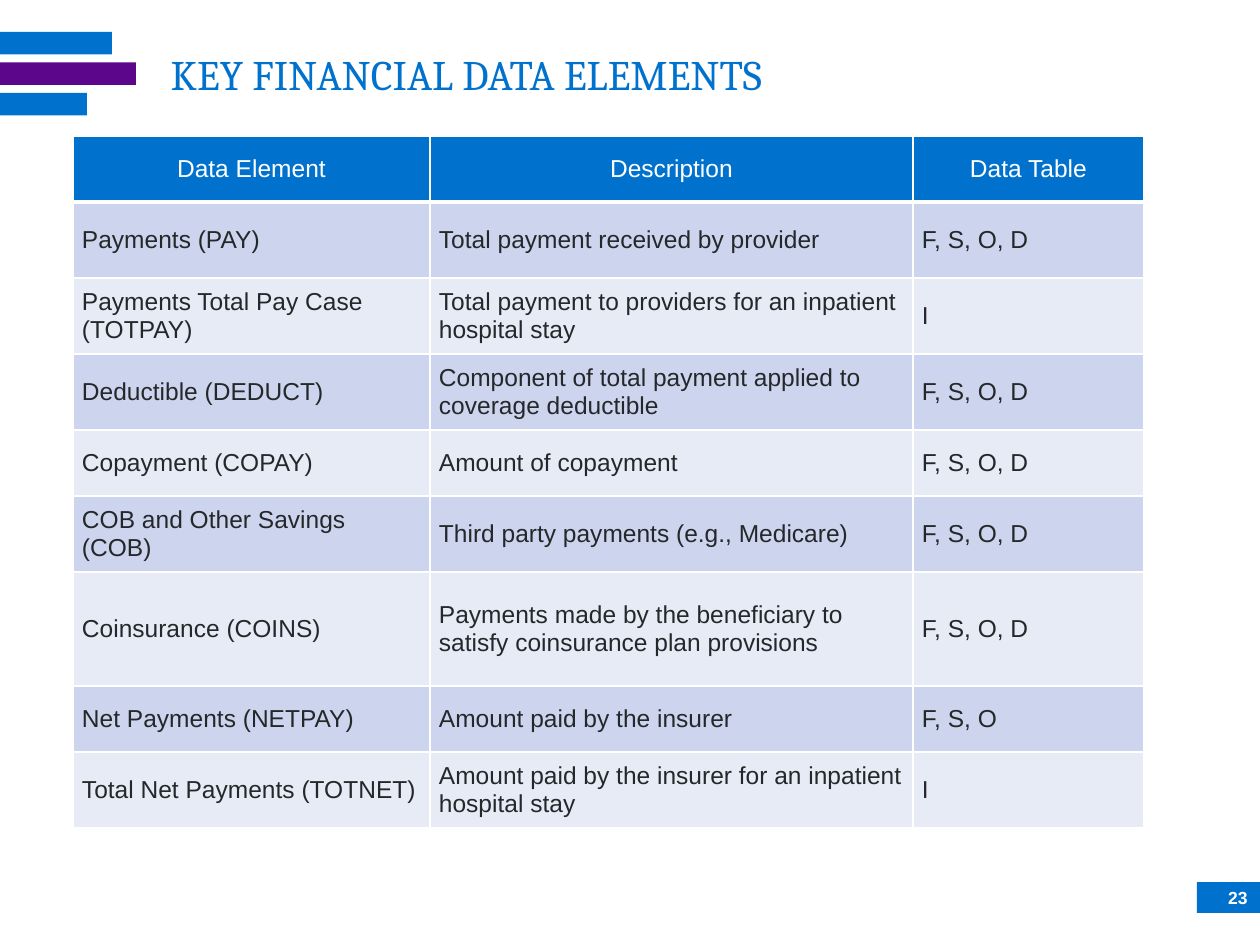
from lxml import etree
from pptx import Presentation
from pptx import util as u
from pptx.dml.color import RGBColor
from pptx.enum import shapes, text
from pptx.oxml.ns import qn

PX_PER_INCH = 126
BLUE, PURPLE, WHITE, INK = "0072CE", "5C068C", "FFFFFF", "25282A"
BANDS = ("CCD5ED", "E7EBF6")

HEADINGS = ("Data Element", "Description", "Data Table")
ELEMENTS = [
    ("Payments (PAY)", "Total payment received by provider", "F, S, O, D"),
    ("Payments Total Pay Case (TOTPAY)",
     "Total payment to providers for an inpatient hospital stay", "I"),
    ("Deductible (DEDUCT)",
     "Component of total payment applied to coverage deductible", "F, S, O, D"),
    ("Copayment (COPAY)", "Amount of copayment", "F, S, O, D"),
    ("COB and Other Savings (COB)",
     "Third party payments (e.g., Medicare)", "F, S, O, D"),
    ("Coinsurance (COINS)",
     "Payments made by the beneficiary to satisfy coinsurance plan provisions",
     "F, S, O, D"),
    ("Net Payments (NETPAY)", "Amount paid by the insurer", "F, S, O"),
    ("Total Net Payments (TOTNET)",
     "Amount paid by the insurer for an inpatient hospital stay", "I"),
]
COLUMN_WIDTHS = (357, 483, 231)
ROW_HEIGHTS = (66, 76, 76, 76, 66, 76, 114, 66, 76)


def px(length):
    return u.Emu(round(length * 914400 / PX_PER_INCH))


def color(code):
    return RGBColor.from_string(code)


def style(para, font, size, code, align, bold=False):
    para.alignment = align
    para.font.name = font
    para.font.size = u.Pt(size)
    para.font.bold = bold
    para.font.color.rgb = color(code)


def add_bar(page, left, top, width, height, code):
    bar = page.shapes.add_shape(shapes.MSO_SHAPE.RECTANGLE,
                                *map(px, (left, top, width, height)))
    bar.shadow.inherit = False
    bar.fill.solid()
    bar.fill.fore_color.rgb = color(code)
    bar.line.fill.background()


def add_stripes(page, left, top):
    for index, (width, code) in enumerate(((112, BLUE), (136, PURPLE), (87, BLUE))):
        add_bar(page, left, top + index * 30.5, width, 22.5, code)


def set_title(page, left, top, width, height):
    title = page.shapes.title
    title.left, title.top, title.width, title.height = map(px, (left, top, width, height))
    frame = title.text_frame
    frame.text = "KEY FINANCIAL DATA ELEMENTS"
    frame.vertical_anchor = text.MSO_ANCHOR.MIDDLE
    style(frame.paragraphs[0], "Cambria", 24, BLUE, text.PP_ALIGN.LEFT)


def set_borders(cell, widths):
    """Draw white borders; widths are points for left, right, top and bottom."""
    properties = cell._tc.get_or_add_tcPr()
    for side, width in zip("LRTB", widths):
        line = etree.SubElement(properties, qn(f"a:ln{side}"), w=str(u.Pt(width)))
        fill = etree.SubElement(line, qn("a:solidFill"))
        etree.SubElement(fill, qn("a:srgbClr"), val=WHITE)


def fill_cell(cell, words, row):
    header = row == 0
    set_borders(cell, (1, 1, 3 if row == 1 else 1, 3 if header else 1))
    cell.fill.solid()
    cell.fill.fore_color.rgb = color(BLUE if header else BANDS[(row - 1) % 2])
    cell.vertical_anchor = text.MSO_ANCHOR.MIDDLE
    cell.margin_left = cell.margin_right = px(9)
    cell.margin_top = cell.margin_bottom = 0
    cell.text = words
    para = cell.text_frame.paragraphs[0]
    style(para, "Arial", 14, WHITE if header else INK,
          text.PP_ALIGN.CENTER if header else text.PP_ALIGN.LEFT)
    para.space_before = u.Pt(4 if header else 3)
    para.space_after = u.Pt(4 if header else 2)


def add_element_table(page, left, top):
    rows = [HEADINGS, *ELEMENTS]
    size = sum(COLUMN_WIDTHS), sum(ROW_HEIGHTS)
    table = page.shapes.add_table(len(rows), len(HEADINGS),
                                  *map(px, (left, top, *size))).table
    for column, width in zip(table.columns, COLUMN_WIDTHS):
        column.width = px(width)
    for index, (words, height) in enumerate(zip(rows, ROW_HEIGHTS)):
        table.rows[index].height = px(height)
        for cell, entry in zip(table.rows[index].cells, words):
            fill_cell(cell, entry, index)


def add_page_number(page, left, top, width, height):
    add_bar(page, left + 10, top, width - 10, height, BLUE)
    box = page.shapes.add_textbox(*map(px, (left, top, width, height)))
    frame = box.text_frame
    frame.word_wrap = True
    frame.vertical_anchor = text.MSO_ANCHOR.MIDDLE
    frame.text = "23"
    style(frame.paragraphs[0], "Arial", 10, WHITE, text.PP_ALIGN.RIGHT, bold=True)


def main():
    deck = Presentation()
    deck.slide_width, deck.slide_height = px(1260), px(945)
    page = deck.slides.add_slide(deck.slide_layouts[5])
    add_stripes(page, 0, 32)
    set_title(page, 158, 22, 1040, 104)
    add_element_table(page, 73, 136)
    add_page_number(page, 1187, 882, 73, 31)
    deck.save("out.pptx")


if __name__ == "__main__":
    main()
